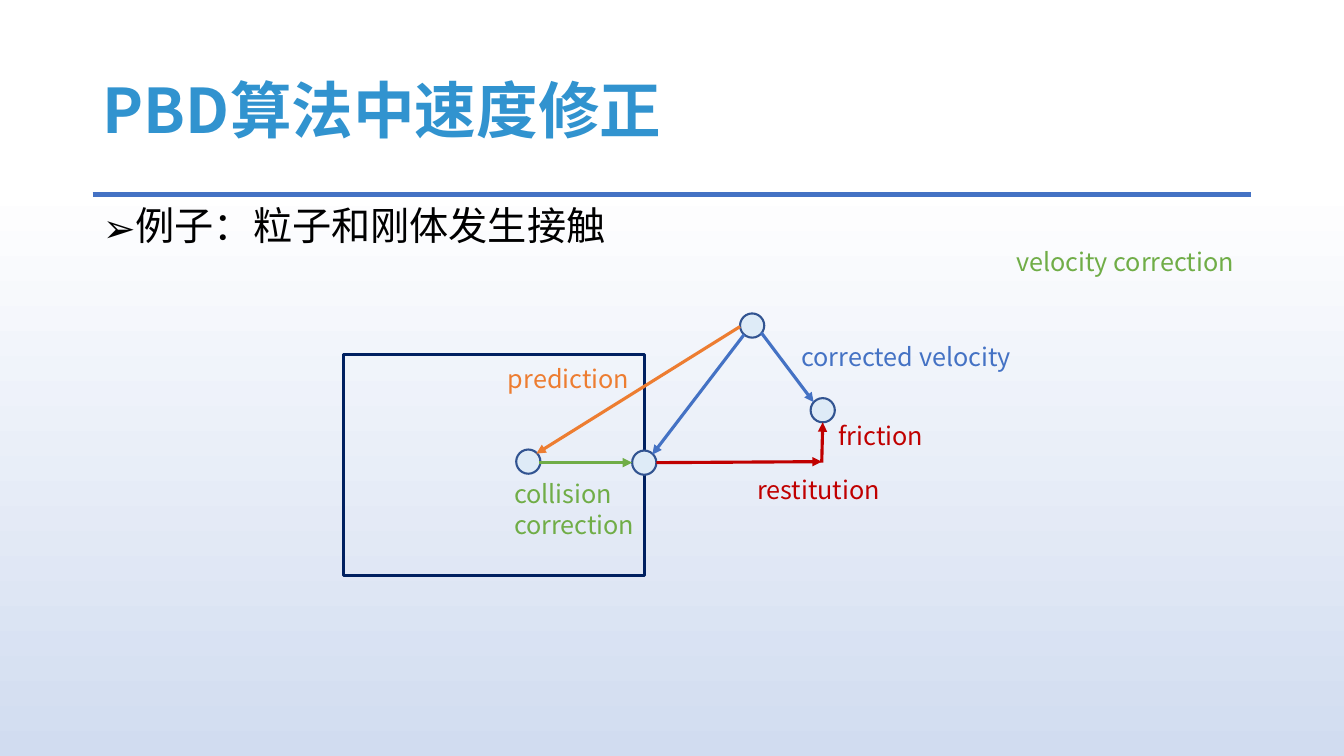
from dataclasses import dataclass

from lxml.etree import SubElement
from pptx import Presentation
from pptx.dml.color import RGBColor
from pptx.enum.shapes import MSO_CONNECTOR, MSO_SHAPE
from pptx.enum.text import MSO_ANCHOR, MSO_AUTO_SIZE, PP_ALIGN
from pptx.oxml.ns import qn
from pptx.util import Inches, Pt


@dataclass(frozen=True)
class Theme:
    font: str = "Noto Sans CJK SC"
    title_size: float = 44
    body_size: float = 28
    label_size: float = 18
    title: str = "3193CF"
    black: str = "000000"
    white: str = "FFFFFF"
    backdrop: str = "D1DCF0"
    blue: str = "4472C4"
    navy: str = "002060"
    orange: str = "ED7D31"
    green: str = "70AD47"
    red: str = "C00000"
    particle_fill: str = "DEEBF7"
    particle_line: str = "325491"
    rule_width: float = 3.5
    stroke_width: float = 2.25
    particle_width: float = 1.5


@dataclass(frozen=True)
class Arrow:
    start: tuple[float, float]
    end: tuple[float, float]
    color: str


@dataclass(frozen=True)
class Label:
    lines: tuple[str, ...]
    left: float
    top: float
    width: float
    color: str
    height: float = 0.4


THEME = Theme()
PARTICLE_SIZE = 0.24
PARTICLES = [(7.34, 3.11), (5.12, 4.46), (6.27, 4.47), (8.04, 3.95)]
ARROWS = [
    Arrow((7.34, 3.24), (5.32, 4.5), THEME.orange),
    Arrow((5.35, 4.59), (6.27, 4.59), THEME.green),
    Arrow((7.38, 3.32), (6.47, 4.51), THEME.blue),
    Arrow((7.55, 3.3), (8.07, 3.99), THEME.blue),
    Arrow((6.51, 4.59), (8.15, 4.58), THEME.red),
    Arrow((8.15, 4.59), (8.16, 4.19), THEME.red),
]
LABELS = [
    Label(("prediction",), 4.94, 3.56, 1.43, THEME.orange),
    Label(("collision", "correction"), 5, 4.7, 1.43, THEME.green, 0.71),
    Label(("restitution",), 7.41, 4.66, 1.45, THEME.red),
    Label(("friction",), 8.22, 4.12, 1.06, THEME.red),
    Label(("corrected velocity",), 7.85, 3.34, 2.35, THEME.blue),
    Label(("velocity correction",), 9.98, 2.39, 2.43, THEME.green),
]


def rgb(color: str) -> RGBColor:
    return RGBColor.from_string(color)


def place(shape, left: float, top: float, width: float, height: float) -> None:
    shape.left, shape.top = Inches(left), Inches(top)
    shape.width, shape.height = Inches(width), Inches(height)


def write_text(paragraph, text: str, *, size: float, color: str, bold: bool = False,
               line_spacing: float = 1.0, bullet: str = "") -> None:
    paragraph.alignment = PP_ALIGN.LEFT
    paragraph.line_spacing = line_spacing
    paragraph.space_before = Pt(0)
    if bullet:
        properties = paragraph._p.get_or_add_pPr()
        properties.set("marL", str(Inches(0.25)))
        properties.set("indent", str(-Inches(0.25)))
        SubElement(properties, qn("a:buFont"), typeface=THEME.font)
        SubElement(properties, qn("a:buChar"), char=bullet)
    run = paragraph.add_run()
    run.text = text
    run.font.size = Pt(size)
    run.font.bold = bold
    run.font.color.rgb = rgb(color)
    run.font.name = THEME.font
    SubElement(run._r.get_or_add_rPr(), qn("a:ea"), typeface=THEME.font)


def add_line(slide, start: tuple[float, float], end: tuple[float, float],
             color: str, width: float, arrow: bool = False) -> None:
    connector = slide.shapes.add_connector(
        MSO_CONNECTOR.STRAIGHT, *map(Inches, start), *map(Inches, end))
    connector.line.color.rgb = rgb(color)
    connector.line.width = Pt(width)
    if arrow:
        SubElement(connector.line._get_or_add_ln(), qn("a:tailEnd"), type="triangle")
    SubElement(connector._element.spPr, qn("a:effectLst"))


def add_outline(slide, kind: MSO_SHAPE, box: tuple[float, float, float, float],
                line: str, width: float, fill: str = "") -> None:
    shape = slide.shapes.add_shape(kind, *map(Inches, box))
    shape.shadow.inherit = False
    shape.line.color.rgb = rgb(line)
    shape.line.width = Pt(width)
    if fill:
        shape.fill.solid()
        shape.fill.fore_color.rgb = rgb(fill)
    else:
        shape.fill.background()


def add_label(slide, label: Label) -> None:
    textbox = slide.shapes.add_textbox(
        *map(Inches, (label.left, label.top, label.width, label.height)))
    frame = textbox.text_frame
    frame.word_wrap = True
    for index, line in enumerate(label.lines):
        paragraph = frame.add_paragraph() if index else frame.paragraphs[0]
        write_text(paragraph, line, size=THEME.label_size, color=label.color)


def set_background(slide) -> None:
    fill = slide.background.fill
    fill.gradient()
    fill.gradient_angle = 270
    stops = ((0.24, THEME.white), (1, THEME.backdrop))
    for stop, (position, color) in zip(fill.gradient_stops, stops):
        stop.position = position
        stop.color.rgb = rgb(color)


def fill_placeholders(slide) -> None:
    title, body = slide.shapes.title, slide.placeholders[1]
    place(title, 0.92, 0.4, 11.5, 1.45)
    place(body, 0.92, 2, 11.5, 4.76)
    title.text_frame.vertical_anchor = MSO_ANCHOR.MIDDLE
    body.text_frame.vertical_anchor = MSO_ANCHOR.TOP
    for placeholder in (title, body):
        placeholder.text_frame.auto_size = MSO_AUTO_SIZE.NONE
    write_text(title.text_frame.paragraphs[0], "PBD算法中速度修正", size=THEME.title_size,
               color=THEME.title, bold=True, line_spacing=0.9)
    write_text(body.text_frame.paragraphs[0], "例子：粒子和刚体发生接触", size=THEME.body_size,
               color=THEME.black, line_spacing=0.9, bullet="➢")


def main() -> None:
    presentation = Presentation()
    presentation.slide_width, presentation.slide_height = Inches(13.33), Inches(7.5)
    slide = presentation.slides.add_slide(presentation.slide_layouts[1])
    set_background(slide)
    fill_placeholders(slide)
    add_line(slide, (0.92, 1.93), (12.41, 1.93), THEME.blue, THEME.rule_width)
    add_outline(slide, MSO_SHAPE.RECTANGLE, (3.41, 3.52, 2.98, 2.19),
                THEME.navy, THEME.stroke_width)
    for left, top in PARTICLES:
        add_outline(slide, MSO_SHAPE.OVAL, (left, top, PARTICLE_SIZE, PARTICLE_SIZE),
                    THEME.particle_line, THEME.particle_width, THEME.particle_fill)
    for arrow in ARROWS:
        add_line(slide, arrow.start, arrow.end, arrow.color, THEME.stroke_width, arrow=True)
    for label in LABELS:
        add_label(slide, label)
    presentation.save("out.pptx")


if __name__ == "__main__":
    main()
